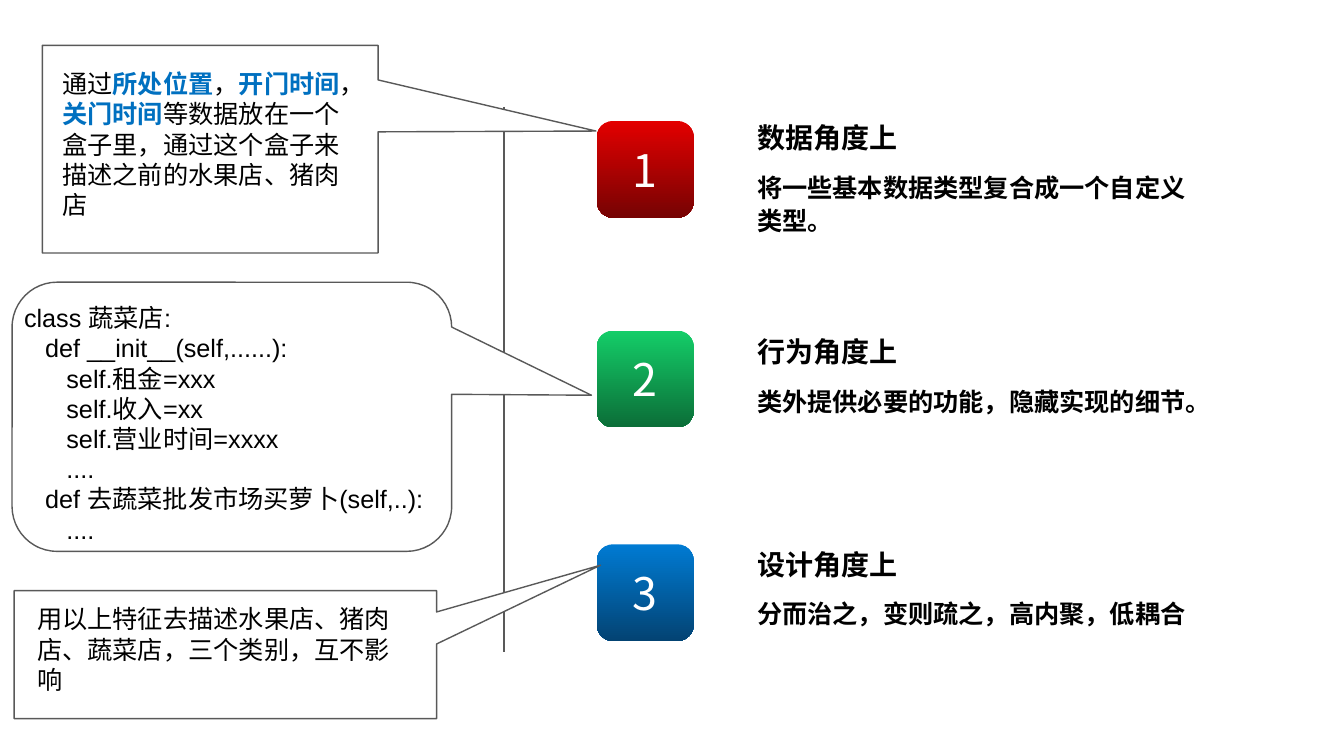
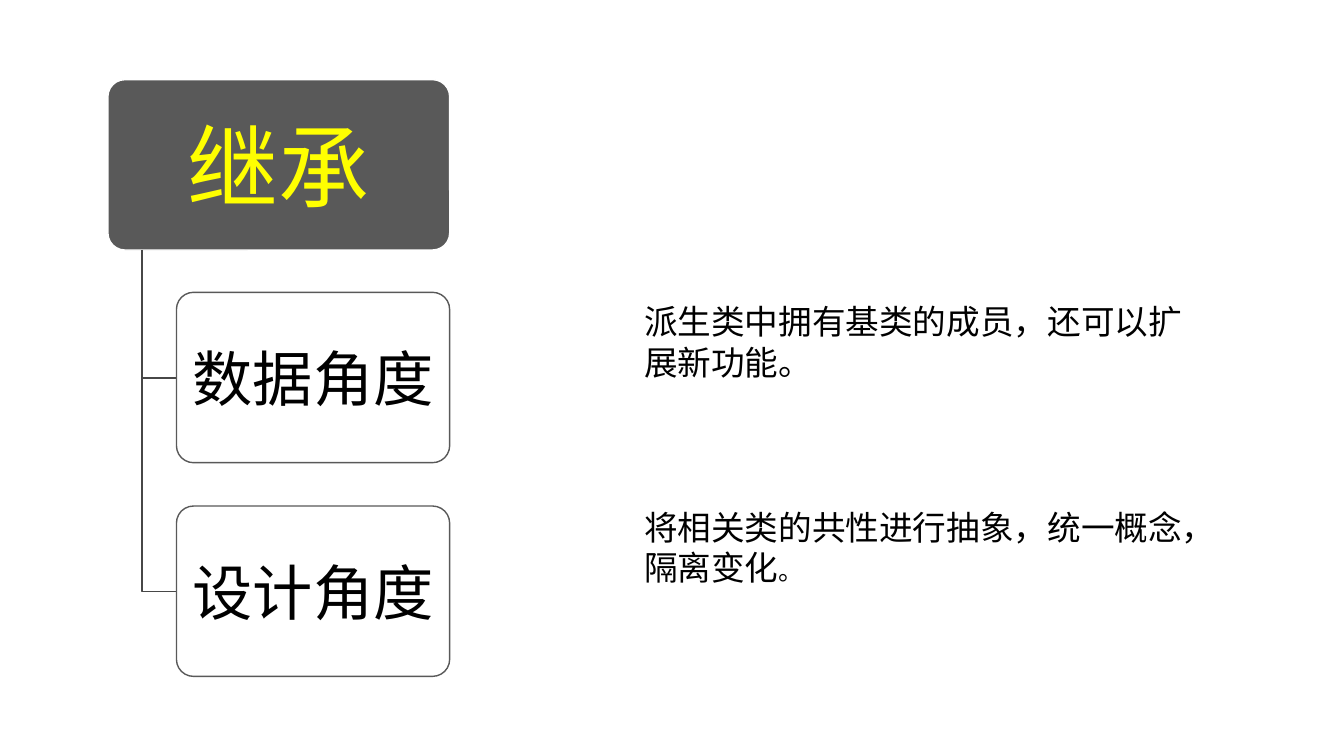
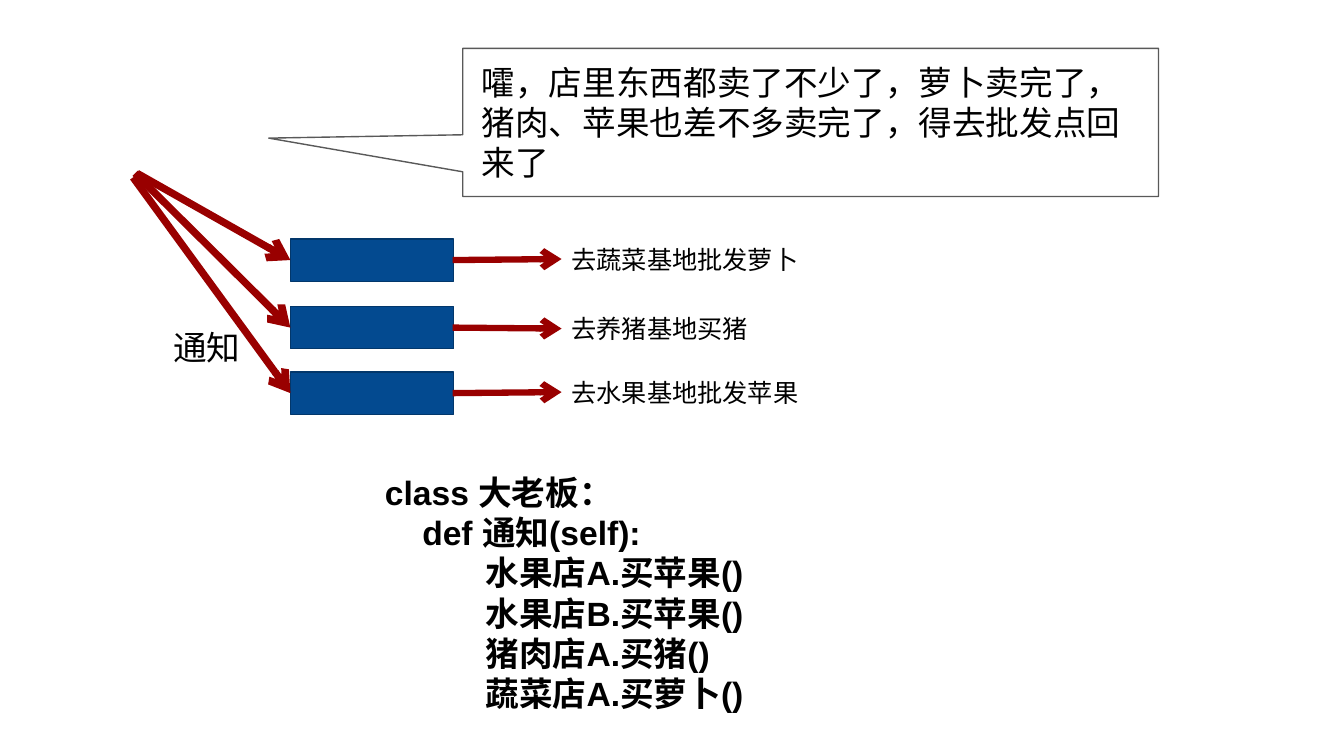
from lxml.etree import SubElement
from pptx import Presentation
from pptx.dml.color import RGBColor
from pptx.enum.shapes import MSO_CONNECTOR, MSO_SHAPE
from pptx.enum.text import MSO_ANCHOR, MSO_AUTO_SIZE, PP_ALIGN
from pptx.oxml.ns import qn
from pptx.util import Inches, Pt

# Shared look
HUES = {
    "black": "000000", "white": "FFFFFF", "gray": "595959", "elbow": "474747",
    "key": "0070C0", "title": "FFFF00", "arrow": "990000",
    "bar": "034A90", "edge": "02376B",
    "red": "E30000", "wine": "760303", "green": "14CD68", "moss": "0B6E38",
    "blue": "007BD3", "navy": "034373",
}
LATIN, CJK = "Arial", "Noto Sans CJK SC"
PLAIN = {"size": 18, "tint": "black", "bold": False, "face": LATIN}
HEAD = {"size": 20, "bold": True, "face": CJK}
NOTE = {"size": 18, "bold": True, "face": CJK}
BADGE = {"size": 32, "tint": "white", "face": CJK}
KEY = {"tint": "key", "bold": True}
MID = {"align": PP_ALIGN.CENTER, "anchor": MSO_ANCHOR.MIDDLE}


def hue(name):
    return RGBColor.from_string(HUES[name])


def assign(item, values):
    for name, value in values.items():
        setattr(item, name, value)


def add_run(para, words, look):
    run = para.add_run()
    run.text = words
    assign(run.font, {"size": Pt(look["size"]), "bold": look["bold"],
                      "name": look["face"]})
    run.font.color.rgb = hue(look["tint"])
    SubElement(run.font._element, qn("a:ea"), typeface=CJK)


def write(frame, lines, look=None, align=PP_ALIGN.LEFT,
          anchor=MSO_ANCHOR.TOP, space=1.0, pad=(0.1, 0.05)):
    """Each line is a string, an (indent, string) pair or a list of runs."""
    side, end = map(Inches, pad)
    assign(frame, {"word_wrap": True, "auto_size": MSO_AUTO_SIZE.NONE,
                   "vertical_anchor": anchor,
                   "margin_left": side, "margin_right": side,
                   "margin_top": end, "margin_bottom": end})
    base = {**PLAIN, **(look or {})}
    for i, line in enumerate(lines):
        para = frame.add_paragraph() if i else frame.paragraphs[0]
        assign(para, {"alignment": align, "line_spacing": space})
        if isinstance(line, tuple):
            indent, line = line
            props = para._p.get_or_add_pPr()
            props.set("marL", str(Inches(indent)))
            props.set("indent", "0")
        runs = line if isinstance(line, list) else [(line, {})]
        for words, extra in runs:
            add_run(para, words, {**base, **extra})


def add_text(slide, box, lines, look=None, **opts):
    shape = slide.shapes.add_textbox(*map(Inches, box))
    write(shape.text_frame, lines, look, **opts)


def set_line(shape, tint, width):
    shape.line.color.rgb = hue(tint)
    shape.line.width = Pt(width)


def add_box(slide, kind, box, fill, edge=None, adjust=(), alpha=None):
    shape = slide.shapes.add_shape(kind, *map(Inches, box))
    shape.shadow.inherit = False
    if isinstance(fill, tuple):
        shape.fill.gradient()
        shape.fill.gradient_angle = 270
        for stop, tint in zip(shape.fill.gradient_stops, fill):
            stop.color.rgb = hue(tint)
    else:
        shape.fill.solid()
        shape.fill.fore_color.rgb = hue(fill)
    if alpha:
        color = shape._element.spPr.find(".//" + qn("a:srgbClr"))
        SubElement(color, qn("a:alpha"), val=str(alpha * 1000))
    if edge:
        set_line(shape, edge, 1)
    else:
        shape.line.fill.background()
    for i, value in enumerate(adjust):
        shape.adjustments[i] = value
    return shape


def add_bubble(slide, kind, box, tip, area, lines, size=18):
    add_box(slide, kind, box, "white", "gray", tip)
    add_text(slide, area, lines, {"size": size})


def add_line(slide, start, end, tint, width, arrow=False):
    ends = map(Inches, (*start, *end))
    line = slide.shapes.add_connector(MSO_CONNECTOR.STRAIGHT, *ends)
    set_line(line, tint, width)
    if arrow:
        SubElement(line.line._get_or_add_ln(), qn("a:tailEnd"), type="arrow")
    SubElement(line._element.spPr, qn("a:effectLst"))


def add_elbow(slide, left, top, right, low):
    pen = slide.shapes.build_freeform(Inches(left), Inches(top))
    turns = [(Inches(left), Inches(low)), (Inches(right), Inches(low))]
    pen.add_line_segments(turns, close=False)
    shape = pen.convert_to_shape()
    shape.shadow.inherit = False
    shape.fill.background()
    set_line(shape, "elbow", 1)


# Slide 1: three angles with speech bubbles
def angles(deck):
    slide = deck.slides.add_slide(deck.slide_layouts[6])
    add_line(slide, (5, 1.06), (5, 6.47), "gray", 1.25)
    rows = [
        (1.2, 1.18, ("red", "wine"), "数据角度上",
         "将一些基本数据类型复合成一个自定义类型。"),
        (3.28, 3.3, ("green", "moss"), "行为角度上",
         "类外提供必要的功能，隐藏实现的细节。"),
        (5.4, 5.41, ("blue", "navy"), "设计角度上",
         "分而治之，变则疏之，高内聚，低耦合"),
    ]
    for i, (top, head, fill, name, note) in enumerate(rows, 1):
        badge = add_box(slide, MSO_SHAPE.ROUNDED_RECTANGLE,
                        (5.92, top, 0.96, 0.96), fill)
        write(badge.text_frame, [str(i)], BADGE, pad=(0.13, 0.07), **MID)
        add_text(slide, (7.41, head, 4.59, 0.4), [name], HEAD,
                 anchor=MSO_ANCHOR.BOTTOM)
        add_text(slide, (7.41, head + 0.45, 4.59, 0.76), [note], NOTE,
                 space=1.1)

    add_bubble(slide, MSO_SHAPE.RECTANGULAR_CALLOUT,
               (0.42, 0.45, 3.33, 2.06), (1.149, -0.087),
               (0.52, 0.63, 3.11, 1.61), [[
                   ("通过", {}), ("所处位置", KEY), ("，", {}),
                   ("开门时间", KEY), ("，", {}), ("关门时间", KEY),
                   ("等数据放在一个盒子里，通过这个盒子来描述之前的"
                    "水果店、猪肉店", {})]])
    add_bubble(slide, MSO_SHAPE.ROUNDED_RECTANGULAR_CALLOUT,
               (0.12, 2.8, 4.36, 2.67), (0.818, -0.08, 0.167),
               (0.14, 2.95, 4.48, 2.52), [
                   "class 蔬菜店:",
                   (0.21, "def __init__(self,......):"),
                   (0.42, "self.租金=xxx"),
                   (0.42, "self.收入=xx"),
                   (0.42, "self.营业时间=xxxx"),
                   (0.42, "...."),
                   (0.21, "def 去蔬菜批发市场买萝卜(self,..):"),
                   (0.42, "....")])
    add_bubble(slide, MSO_SHAPE.RECTANGULAR_CALLOUT,
               (0.14, 5.86, 4.19, 1.27), (0.888, -0.699),
               (0.27, 5.94, 3.89, 1.01),
               ["用以上特征去描述水果店、猪肉店、蔬菜店，三个类别，互不影响"])


# Slide 2: inheritance tree
def tree(deck):
    slide = deck.slides.add_slide(deck.slide_layouts[5])
    root = (1.07, 0.79, 3.39, 1.69)
    add_box(slide, MSO_SHAPE.ROUNDED_RECTANGLE, root, "gray", "white", (0.1,))
    title = slide.shapes.title
    assign(title, dict(zip(("left", "top", "width", "height"),
                           map(Inches, root))))
    write(title.text_frame, ["继承"], {"size": 65, "tint": "title"},
          pad=(0.14, 0.09), **MID)
    slide.shapes._spTree.append(title._element)

    rows = [
        (2.9, 2.94, "数据角度",
         [("派生类中拥有基类的成员，还可以扩展新功能。", {})]),
        (5.02, 4.98, "设计角度",
         [("将相关类的共性进行抽象，统一概念，隔离变化", {}),
          ("。", {"size": 18})]),
    ]
    for top, side, name, note in rows:
        add_elbow(slide, 1.41, 2.48, 1.75, top + 0.85)
        leaf = add_box(slide, MSO_SHAPE.ROUNDED_RECTANGLE,
                       (1.75, top, 2.71, 1.69), "white", "gray", (0.1,), 90)
        write(leaf.text_frame, [name], {"size": 43}, pad=(0.09, 0.06), **MID)
        add_text(slide, (6.29, side, 5.64, 0.91), [note], {"size": 24})


# Slide 3: the boss notifies the shops
def notice(deck):
    slide = deck.slides.add_slide(deck.slide_layouts[6])
    add_bubble(slide, MSO_SHAPE.RECTANGULAR_CALLOUT,
               (4.59, 0.48, 6.9, 1.47), (-0.779, 0.106),
               (4.68, 0.56, 6.72, 1.31),
               ["嚯，店里东西都卖了不少了，萝卜卖完了，猪肉、苹果也差不多"
                "卖完了，得去批发点回来了"], 24)
    rows = [
        (2.37, (1.36, 1.72), 2.57, 2.37, "去蔬菜基地批发萝卜"),
        (3.04, (1.34, 1.72), 3.26, 3.06, "去养猪基地买猪"),
        (3.69, (1.32, 1.76), 3.89, 3.69, "去水果基地批发苹果"),
    ]
    for top, start, tip, side, task in rows:
        mid = top + 0.21
        add_box(slide, MSO_SHAPE.RECTANGLE, (2.88, top, 1.62, 0.42),
                "bar", "edge")
        add_line(slide, start, (2.88, mid), "arrow", 5.25, True)
        add_line(slide, (4.49, mid), (5.57, tip), "arrow", 4.5, True)
        add_text(slide, (5.57, side, 3.04, 0.4), [task])
    add_text(slide, (1.62, 3.19, 1.36, 0.5), ["通知"], {"size": 24})
    calls = ["水果店A.买苹果()", "水果店B.买苹果()",
             "猪肉店A.买猪()", "蔬菜店A.买萝卜()"]
    add_text(slide, (3.72, 4.63, 4.37, 2.52),
             ["class 大老板：", (0.37, "def 通知(self):"),
              *((1, call) for call in calls)],
             {"size": 24, "bold": True})


def main():
    deck = Presentation()
    assign(deck, {"slide_width": Inches(13.33), "slide_height": Inches(7.5)})
    for build in (angles, tree, notice):
        build(deck)
    deck.save("out.pptx")


main()
